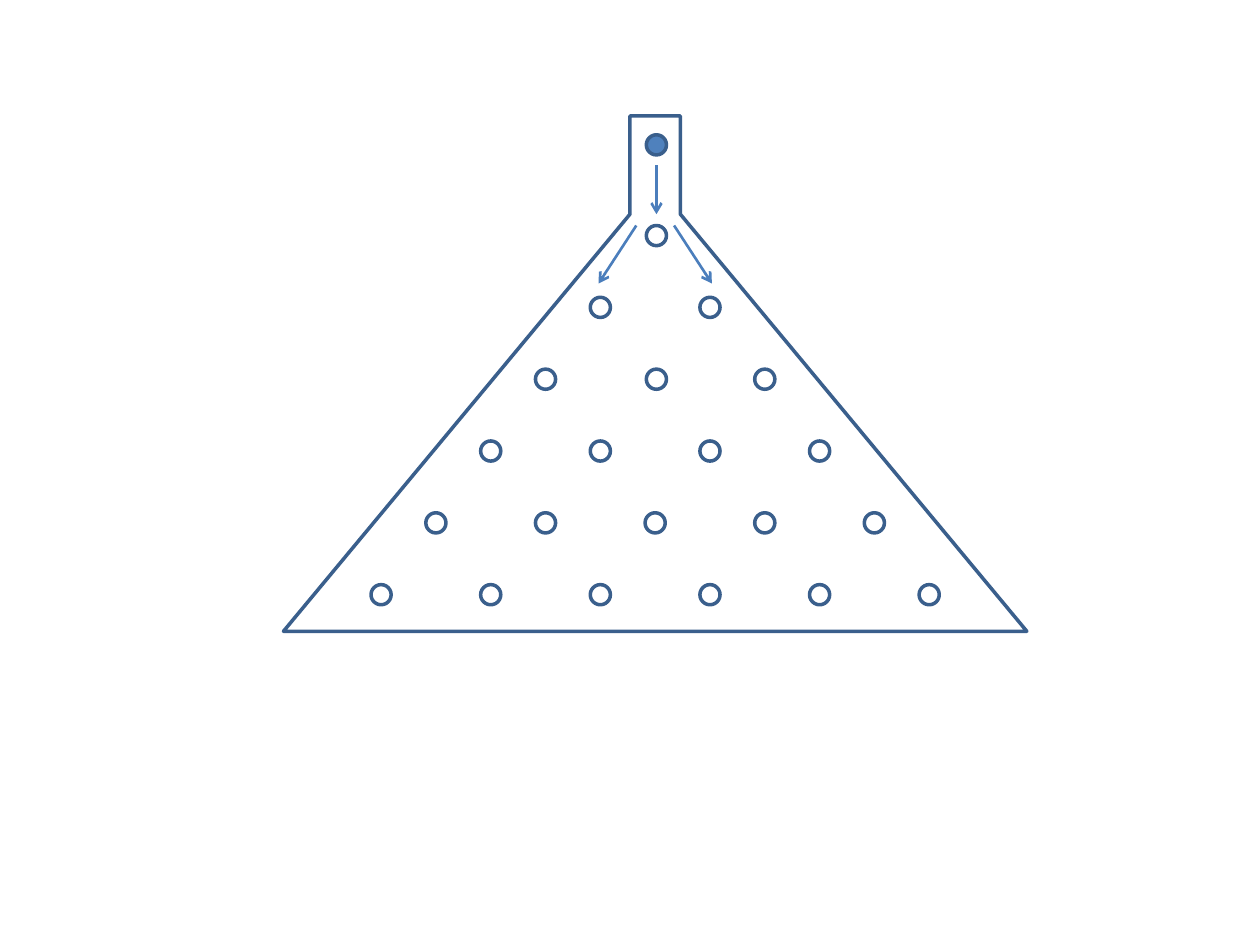
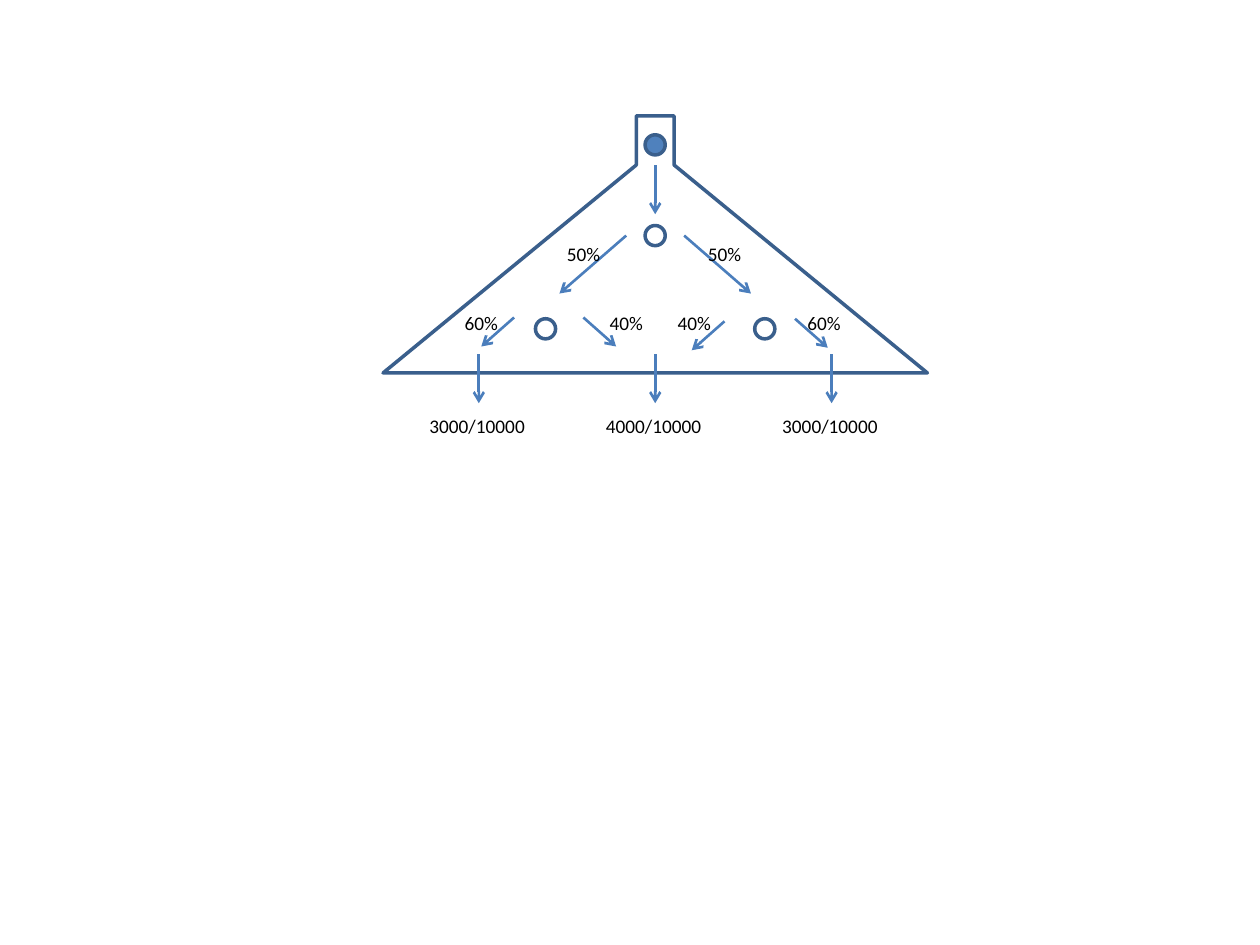
"""Two slides: a peg board of six rows and a two-row board with its odds."""
import pptx
import pptx.dml.color
import pptx.enum.shapes
import pptx.enum.text
import pptx.oxml.ns
import pptx.util
from lxml import etree

Inches = pptx.util.Inches
RGBColor = pptx.dml.color.RGBColor

WHITE = RGBColor(0xFF, 0xFF, 0xFF)
BLACK = RGBColor(0x00, 0x00, 0x00)
BALL_BLUE = RGBColor(0x4F, 0x81, 0xBD)
OUTLINE_BLUE = RGBColor(0x3A, 0x5F, 0x8C)
ARROW_BLUE = RGBColor(0x4B, 0x7E, 0xBC)

FONT = "Calibri"
AXIS = 5.2          # vertical centre line of both boards
BOARD_TOP = 0.92
BALL_Y = 1.15
FIRST_PEG_Y = 1.87
PEG_SIZE = 0.16
PEG_PITCH = 0.87


class Board:
    """Holds the shared style and the slide being drawn."""

    def __init__(self, deck):
        """Remember the deck that receives the slides."""
        self.deck = deck
        self.target = None
        self.page = None

    def new_page(self):
        """Start a blank slide."""
        self.page = self.deck.slides.add_slide(self.deck.slide_layouts[6])
        self.target = self.page.shapes

    def start_group(self):
        """Send the next elements to a new group."""
        self.target = self.page.shapes.add_group_shape().shapes

    def end_group(self):
        """Send the next elements to the slide again."""
        self.target = self.page.shapes

    def paint(self, shape, fill):
        """Give a shape its fill and the common outline."""
        shape.shadow.inherit = False
        shape.fill.solid()
        shape.fill.fore_color.rgb = fill
        shape.line.color.rgb = OUTLINE_BLUE
        shape.line.width = pptx.util.Pt(2)

    def funnel(self, neck_half, neck_bottom, base_half, base_y):
        """Draw the symmetric board outline with its neck."""
        right = [(neck_half, BOARD_TOP), (neck_half, neck_bottom),
                 (base_half, base_y)]
        left = [(-offset, y) for offset, y in reversed(right)]
        points = [(Inches(AXIS + offset), Inches(y))
                  for offset, y in left[-1:] + right + left[:-1]]
        builder = self.target.build_freeform(*points[0], scale=1.0)
        builder.add_line_segments(points[1:], close=True)
        self.paint(builder.convert_to_shape(), WHITE)

    def circle(self, x, y, fill=WHITE):
        """Draw a peg, or the ball, around a centre."""
        corner = (Inches(x - PEG_SIZE / 2), Inches(y - PEG_SIZE / 2))
        shape = self.target.add_shape(
            pptx.enum.shapes.MSO_SHAPE.OVAL, *corner,
            Inches(PEG_SIZE), Inches(PEG_SIZE))
        self.paint(shape, fill)

    def arrow(self, x1, y1, x2, y2):
        """Draw a straight arrow that points at its end."""
        line = self.target.add_connector(
            pptx.enum.shapes.MSO_CONNECTOR.STRAIGHT,
            Inches(x1), Inches(y1), Inches(x2), Inches(y2))
        line.line.color.rgb = ARROW_BLUE
        line.line.width = pptx.util.Pt(1.5)
        properties = line._element.spPr
        outline = properties.find(pptx.oxml.ns.qn("a:ln"))
        etree.SubElement(outline, pptx.oxml.ns.qn("a:tailEnd"), type="arrow")
        etree.SubElement(properties, pptx.oxml.ns.qn("a:effectLst"))

    def drop(self, x, y):
        """Draw a short arrow straight down."""
        self.arrow(x, y, x, y + 0.39)

    def label(self, text, left, top, width=0.47):
        """Write a one-line label."""
        box = self.target.add_textbox(
            Inches(left), Inches(top), Inches(width), Inches(0.29))
        frame = box.text_frame
        frame.word_wrap = False
        frame.auto_size = pptx.enum.text.MSO_AUTO_SIZE.SHAPE_TO_FIT_TEXT
        span = frame.paragraphs[0].add_run()
        span.text = text
        span.font.name = FONT
        span.font.size = pptx.util.Pt(11)
        span.font.color.rgb = BLACK


def draw_full_board(board):
    """Draw the board with six rows of pegs."""
    ball_x = AXIS + 0.01
    board.new_page()
    board.funnel(0.2, 1.7, 2.95, 5.01)
    board.circle(ball_x, BALL_Y, BALL_BLUE)
    board.start_group()
    for row in range(6):
        for column in range(row + 1):
            under_ball = row < 4 and 2 * column == row
            x = ball_x if under_ball else AXIS + (column - row / 2) * PEG_PITCH
            board.circle(x, FIRST_PEG_Y + 0.57 * row)
    board.end_group()
    board.drop(ball_x, 1.31)
    board.start_group()
    for side in (-1, 1):
        board.arrow(AXIS + side * 0.15, 1.79, AXIS + side * 0.45, 2.25)
    board.end_group()


def draw_odds_board(board):
    """Draw the two-row board with odds and counts."""
    board.new_page()
    board.funnel(0.15, 1.31, 2.16, 2.96)
    board.circle(AXIS, BALL_Y, BALL_BLUE)
    board.circle(AXIS, FIRST_PEG_Y)
    board.start_group()
    for side in (-1, 1):
        board.circle(AXIS + side * PEG_PITCH, 2.61)
    board.end_group()

    board.drop(AXIS, 1.31)
    board.start_group()
    for side in (-1, 1):
        board.arrow(AXIS + side * 0.23, FIRST_PEG_Y, AXIS + side * 0.76, 2.33)
    board.end_group()
    for left in (4.4, 5.52):
        board.label("50%", left, 1.87)

    exits = [AXIS + side * 1.4 for side in (-1, 0, 1)]
    board.start_group()
    for x in exits:
        board.drop(x, 2.81)
    board.end_group()
    for x, count in zip(exits, (3000, 4000, 3000)):
        board.label(f"{count}/10000", x - 0.49, 3.24, 0.97)

    # start x, start y, horizontal run, label, label left
    branches = [(4.08, 2.52, -0.26, "60%", 3.59),
                (4.63, 2.52, 0.26, "40%", 4.74),
                (5.75, 2.55, -0.26, "40%", 5.28),
                (6.31, 2.53, 0.26, "60%", 6.31)]
    for x, y, run, odds, left in branches:
        board.arrow(x, y, x + run, y + 0.23)
        board.label(odds, left, 2.42)


def main():
    """Build both slides and save the deck."""
    deck = pptx.Presentation()
    deck.slide_width = Inches(10)
    deck.slide_height = Inches(7.5)
    board = Board(deck)
    draw_full_board(board)
    draw_odds_board(board)
    deck.save("out.pptx")


main()
